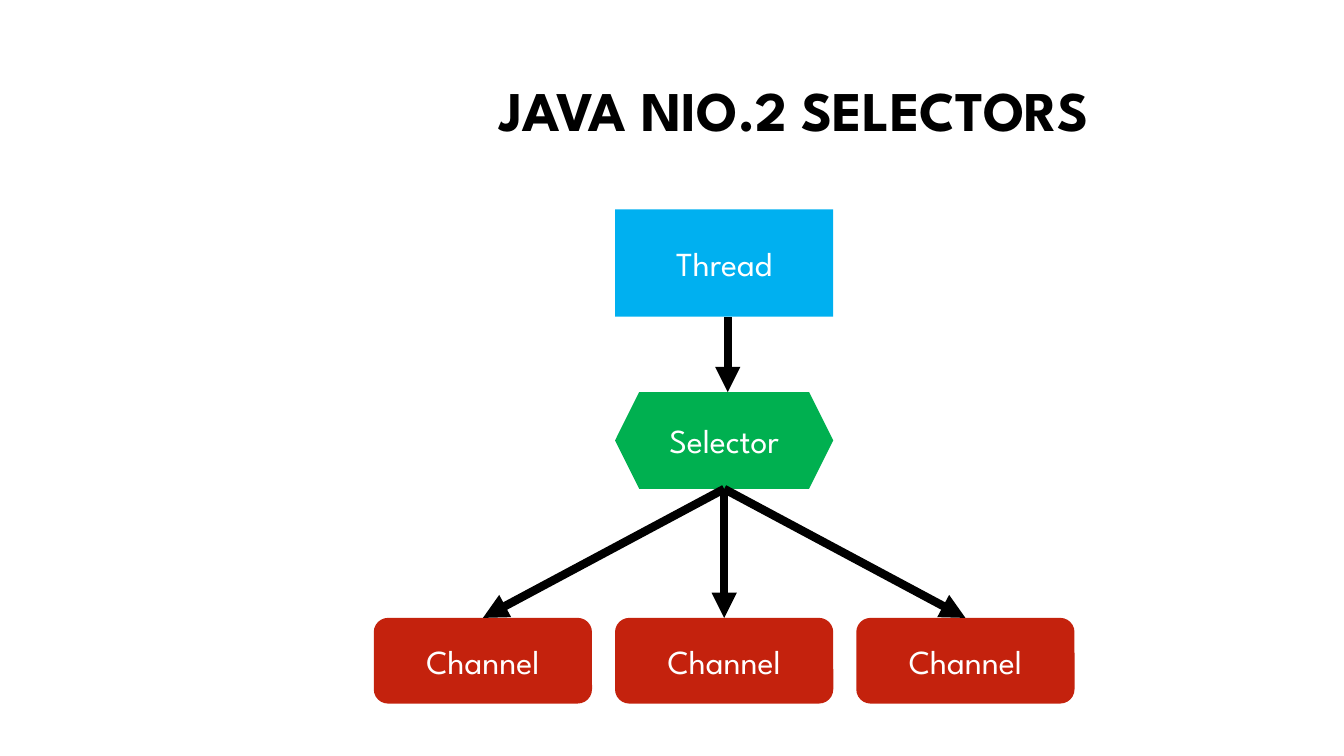
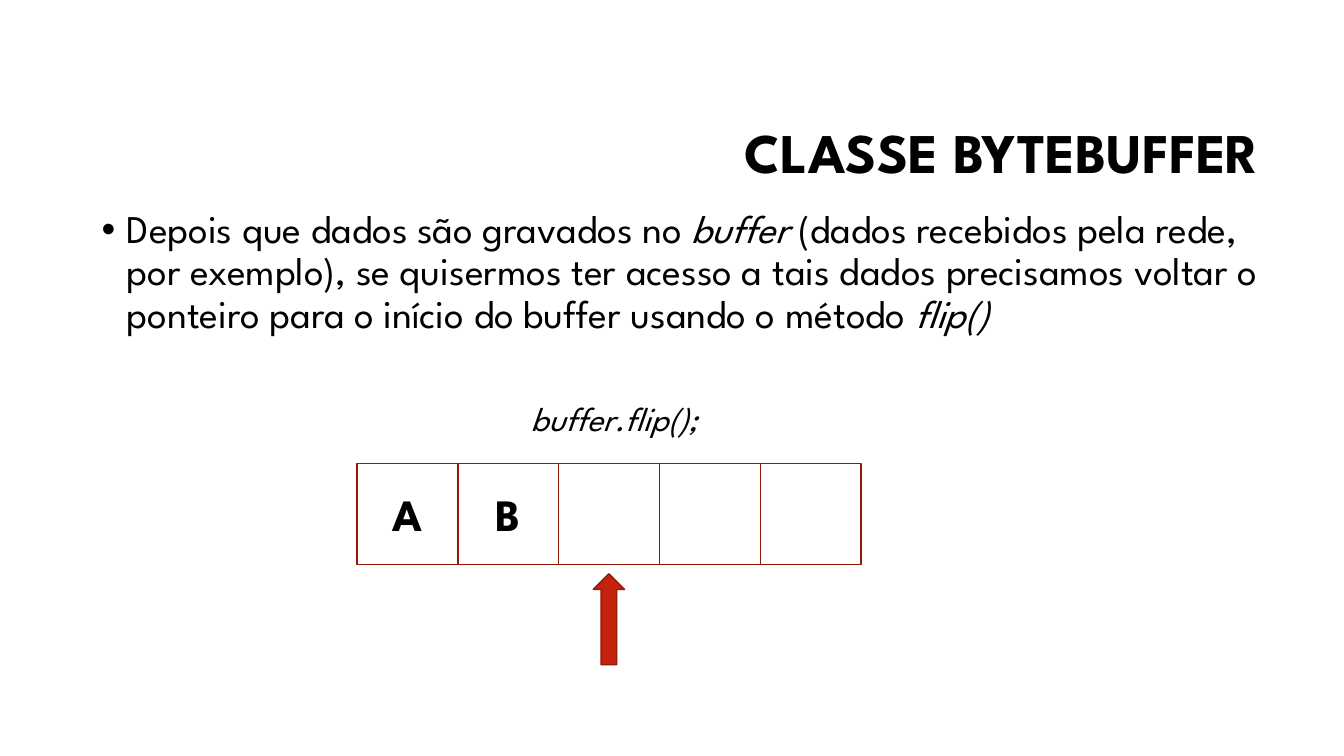
from dataclasses import dataclass
from typing import Optional

from lxml.etree import SubElement
from pptx import Presentation
from pptx.dml.color import RGBColor
from pptx.enum.shapes import MSO_CONNECTOR, MSO_SHAPE
from pptx.enum.text import MSO_ANCHOR, MSO_AUTO_SIZE, PP_ALIGN
from pptx.oxml.ns import qn
from pptx.util import Cm, Pt


# Shared look
@dataclass(frozen=True)
class Theme:
    font: str = "League Spartan"
    black: str = "000000"
    white: str = "FFFFFF"
    blue: str = "00B0F0"
    green: str = "00B050"
    red: str = "C4220D"
    edge: str = "91190A"
    title: int = 40
    body: int = 28
    cell: int = 32
    label: int = 24
    thin: int = 1
    thick: int = 6
    tight: float = 0.9


THEME = Theme()


# Repeated elements, lengths in centimetres
@dataclass(frozen=True)
class Run:
    text: str
    size: int = THEME.label
    color: str = THEME.black
    bold: bool = False
    slant: bool = False


@dataclass(frozen=True)
class Node:
    kind: MSO_SHAPE
    left: float
    top: float
    width: float
    height: float
    fill: str
    line: Optional[str] = None
    run: Optional[Run] = None
    turn: int = 0


@dataclass(frozen=True)
class Arrow:
    x1: float
    y1: float
    x2: float
    y2: float


def add_runs(para, runs: list[Run]) -> None:
    for item in runs:
        run = para.add_run()
        run.text = item.text
        font = run.font
        font.name = THEME.font
        font.size = Pt(item.size)
        font.bold = item.bold
        font.italic = item.slant
        font.color.rgb = RGBColor.from_string(item.color)


def add_title(deck, text: str, top: float, align: PP_ALIGN):
    slide = deck.slides.add_slide(deck.slide_layouts[5])
    title = slide.shapes.title
    title.left, title.top = Cm(8.05), Cm(top)
    title.width, title.height = Cm(23.93), Cm(3.58)
    frame = title.text_frame
    frame.word_wrap = True
    frame.auto_size = MSO_AUTO_SIZE.NONE
    frame.vertical_anchor = MSO_ANCHOR.MIDDLE
    para = frame.paragraphs[0]
    para.alignment = align
    para.line_spacing = THEME.tight
    add_runs(para, [Run(text, THEME.title, bold=True)])
    return slide


def add_node(shapes, node: Node) -> None:
    shape = shapes.add_shape(node.kind, Cm(node.left), Cm(node.top),
                             Cm(node.width), Cm(node.height))
    shape.shadow.inherit = False
    shape.rotation = node.turn
    shape.fill.solid()
    shape.fill.fore_color.rgb = RGBColor.from_string(node.fill)
    if node.line:
        shape.line.color.rgb = RGBColor.from_string(node.line)
        shape.line.width = Pt(THEME.thin)
    else:
        shape.line.fill.background()
    if node.run:
        frame = shape.text_frame
        frame.vertical_anchor = MSO_ANCHOR.MIDDLE
        para = frame.paragraphs[0]
        para.alignment = PP_ALIGN.CENTER
        add_runs(para, [node.run])


def add_arrow(shapes, arrow: Arrow) -> None:
    link = shapes.add_connector(MSO_CONNECTOR.STRAIGHT, Cm(arrow.x1),
                                Cm(arrow.y1), Cm(arrow.x2), Cm(arrow.y2))
    link.line.color.rgb = RGBColor.from_string(THEME.black)
    link.line.width = Pt(THEME.thick)
    props = link._element.spPr
    SubElement(props.find(qn("a:ln")), qn("a:tailEnd"), type="triangle")
    SubElement(props, qn("a:effectLst"))


def add_text(shapes, left: float, top: float, width: float, height: float,
             runs: list[Run], wrap: bool):
    box = shapes.add_textbox(Cm(left), Cm(top), Cm(width), Cm(height))
    box.text_frame.word_wrap = wrap
    para = box.text_frame.paragraphs[0]
    para.alignment = PP_ALIGN.LEFT
    add_runs(para, runs)
    return para


def set_bullet(para) -> None:
    para.line_spacing = THEME.tight
    para.space_before = Pt(10)
    props = para._p.get_or_add_pPr()
    hang = Cm(0.64)
    props.set("marL", str(hang))
    props.set("indent", str(-hang))
    SubElement(props, qn("a:buFont"), typeface="Arial")
    SubElement(props, qn("a:buChar"), char="•")


def draw_tree(deck) -> None:
    slide = add_title(deck, "JAVA NIO.2 SELECTORS", 1.07, PP_ALIGN.CENTER)
    shapes = slide.shapes
    left, wide, step = 15.5, 5.5, 6.08
    mid, foot, row = left + wide / 2, 12.32, 15.57

    # Thread, selector and its channels
    add_node(shapes, Node(MSO_SHAPE.RECTANGLE, left, 5.28, wide, 2.7,
                          THEME.blue, run=Run("Thread", color=THEME.white)))
    add_node(shapes, Node(MSO_SHAPE.HEXAGON, left, 9.88, wide, 2.44,
                          THEME.green, run=Run("Selector", color=THEME.white)))
    shifts = [-step, 0, step]
    for shift in shifts:
        add_node(shapes, Node(MSO_SHAPE.ROUNDED_RECTANGLE, left + shift, row,
                              wide, 2.16, THEME.red,
                              run=Run("Channel", color=THEME.white)))

    # Arrows
    add_arrow(shapes, Arrow(18.34, 8, 18.34, 9.88))
    for shift in shifts:
        add_arrow(shapes, Arrow(mid, foot, mid + shift, row))


def draw_buffer(deck) -> None:
    slide = add_title(deck, "CLASSE BYTEBUFFER", 2.13, PP_ALIGN.RIGHT)
    shapes = slide.shapes

    # Explanation
    size = THEME.body
    para = add_text(shapes, 2.31, 5.16, 29.64, 4.39, [
        Run("Depois que dados são gravados no ", size),
        Run("buffer", size, slant=True),
        Run(" (dados recebidos pela rede, por exemplo), se quisermos ter "
            "acesso a tais dados precisamos voltar o ponteiro para o início "
            "do buffer usando o método ", size),
        Run("flip()", size, slant=True),
    ], wrap=True)
    set_bullet(para)

    # Buffer cells
    side = 2.54
    group = shapes.add_group_shape()
    for spot, mark in enumerate(["A", "B", "", "", ""]):
        run = Run(mark, THEME.cell, bold=True) if mark else None
        add_node(group.shapes, Node(MSO_SHAPE.RECTANGLE, 9 + spot * side,
                                    11.68, side, side, THEME.white,
                                    THEME.edge, run))

    # Pointer and call
    add_node(shapes, Node(MSO_SHAPE.RIGHT_ARROW, 14.2, 15.21, 2.29, 0.79,
                          THEME.red, THEME.edge, turn=270))
    add_text(shapes, 13.13, 9.91, 5.26, 1.27,
             [Run("buffer.flip();", slant=True)], wrap=False)


def main() -> None:
    deck = Presentation()
    deck.slide_width, deck.slide_height = Cm(33.87), Cm(19.05)
    draw_tree(deck)
    draw_buffer(deck)
    deck.save("out.pptx")


main()
